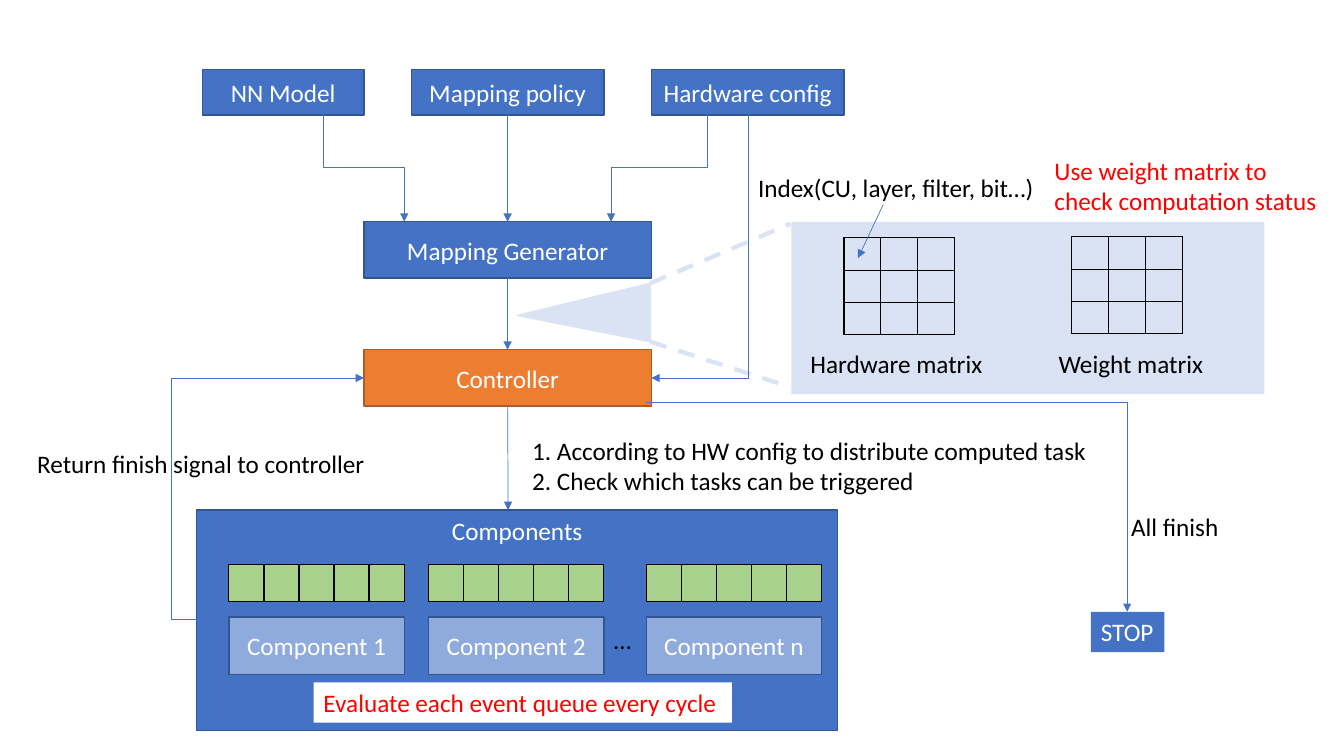
from lxml import etree
from pptx import Presentation
from pptx.dml.color import RGBColor
from pptx.enum.dml import MSO_LINE
from pptx.enum.shapes import MSO_CONNECTOR, MSO_SHAPE
from pptx.enum.text import MSO_ANCHOR, PP_ALIGN
from pptx.oxml.ns import qn
from pptx.util import Inches, Pt

RECTANGLE, TRIANGLE = MSO_SHAPE.RECTANGLE, MSO_SHAPE.ISOSCELES_TRIANGLE
STRAIGHT, ELBOW = MSO_CONNECTOR.STRAIGHT, MSO_CONNECTOR.ELBOW
LEFT, CENTER = PP_ALIGN.LEFT, PP_ALIGN.CENTER
TOP, MIDDLE = MSO_ANCHOR.TOP, MSO_ANCHOR.MIDDLE
DASH = MSO_LINE.DASH
BOTTOM_SIDE, TOP_SIDE = 2, 0

COLORS = {
    "blue": "4472C4", "blue edge": "325491", "light blue": "8FAADC",
    "pale": "DAE3F3", "orange": "ED7D31", "orange edge": "AF5C24",
    "green": "A9D18E", "white": "FFFFFF", "black": "000000", "red": "FF0000",
}

# Content: text, (left, top, width, height), fill, edge
STAGES = [
    ("NN Model", (2.01, 0.69, 1.6, 0.45), "blue", "blue edge"),
    ("Mapping policy", (4.08, 0.69, 1.91, 0.45), "blue", "blue edge"),
    ("Hardware config", (6.46, 0.69, 1.91, 0.45), "blue", "blue edge"),
    ("Mapping Generator", (3.61, 2.2, 2.85, 0.56), "blue", "blue edge"),
    ("Controller", (3.61, 3.47, 2.85, 0.56), "orange", "orange edge"),
]
COMPONENTS = [("Component 1", 2.27), ("Component 2", 4.25), ("Component n", 6.41)]
MATRICES = [(8.37, 2.36), (10.63, 2.35)]
LABELS = [
    (["Hardware matrix"], (7.94, 3.41, 1.98, 0.4)),
    (["Weight matrix"], (10.4, 3.41, 1.65, 0.4)),
    (["Index(CU, layer, filter, bit…)"], (7.42, 1.66, 3.02, 0.4)),
    (["1. According to HW config to distribute computed task",
      "2. Check which tasks can be triggered"], (5.18, 4.27, 5.8, 0.71)),
    (["…"], (5.99, 6.14, 0.38, 0.4)),
    (["Return finish signal to controller"], (0.27, 4.4, 3.49, 0.4)),
    (["All finish"], (11.12, 5.02, 1.08, 0.4)),
]
# Start, end, preset, leaves vertically, bend position
ELBOWS = [
    ((3.21, 1.13), (4.01, 2.2), "bentConnector3", True, None),
    ((7.02, 1.13), (6.06, 2.2), "bentConnector3", True, None),
    ((7.42, 1.13), (6.46, 3.75), "bentConnector2", True, None),
    ((1.95, 6.15), (3.61, 3.75), "bentConnector3", False, -0.15),
    ((6.41, 3.99), (11.18, 6.07), "bentConnector2", False, None),
]
CALLOUT_EDGES = [((6.45, 2.81), (7.84, 2.22)), ((6.45, 3.39), (7.84, 3.84))]

deck = Presentation()
deck.slide_width, deck.slide_height = Inches(13.33), Inches(7.5)
page = deck.slides.add_slide(deck.slide_layouts[6])


def color(name):
    return RGBColor.from_string(COLORS[name])


def write(shape, lines, ink="black", align=LEFT, anchor=TOP, wrap=False):
    frame = shape.text_frame
    frame.word_wrap, frame.vertical_anchor = wrap, anchor
    for index, line in enumerate(lines):
        para = frame.add_paragraph() if index else frame.paragraphs[0]
        para.alignment = align
        span = para.add_run()
        span.text = line
        span.font.name, span.font.size = "Calibri", Pt(18)
        span.font.color.rgb = color(ink)


def add_box(place, fill, edge=None, kind=RECTANGLE):
    box = page.shapes.add_shape(kind, *map(Inches, place))
    box.shadow.inherit = False
    box.fill.solid()
    box.fill.fore_color.rgb = color(fill)
    if edge:
        box.line.color.rgb = color(edge)
        box.line.width = Pt(1)
    else:
        box.line.fill.background()
    return box


def add_label(lines, place, **style):
    write(page.shapes.add_textbox(*map(Inches, place)), lines, **style)


def add_line(start, end, kind=STRAIGHT, ink="blue", width=0.5, arrow=True):
    line = page.shapes.add_connector(kind, *map(Inches, start + end))
    line.line.color.rgb = color(ink)
    line.line.width = Pt(width)
    properties = line._element.spPr
    if arrow:
        outline = properties.find(qn("a:ln"))
        etree.SubElement(outline, qn("a:tailEnd"), type="triangle")
    etree.SubElement(properties, qn("a:effectLst"))
    return line


def add_elbow(start, end, preset, vertical, bend):
    (x1, y1), (x2, y2) = start, end
    if vertical:
        # Swap the sides of the frame around its centre, then turn it
        mid_x, mid_y = (x1 + x2) / 2, (y1 + y2) / 2
        half_w, half_h = abs(y2 - y1) / 2, abs(x2 - x1) / 2
        start = (mid_x - half_w, mid_y - half_h)
        end = (mid_x + half_w, mid_y + half_h)
    properties = add_line(start, end, kind=ELBOW)._element.spPr
    geometry = properties.find(qn("a:prstGeom"))
    geometry.set("prst", preset)
    if vertical:
        frame = properties.find(qn("a:xfrm"))
        frame.set("rot", str((90 if x2 < x1 else 270) * 60000))
        if x2 > x1:
            frame.set("flipH", "1")
    if bend is not None:
        guides = geometry.find(qn("a:avLst"))
        if guides is None:
            guides = etree.SubElement(geometry, qn("a:avLst"))
        etree.SubElement(guides, qn("a:gd"), name="adj1", fmla=f"val {round(bend * 100000)}")


def add_grid(place, rows, columns, fill=None):
    table = page.shapes.add_table(rows, columns, *map(Inches, place)).table
    table.first_row = table.horz_banding = False
    for column in table.columns:
        column.width = Inches(place[2] / columns)
    for row in table.rows:
        row.height = Inches(place[3] / rows)
    for cell in table.iter_cells():
        cell.margin_left = cell.margin_right = cell.margin_top = cell.margin_bottom = 0
        properties = cell._tc.get_or_add_tcPr()
        for side in ("a:lnL", "a:lnR", "a:lnT", "a:lnB"):
            border = etree.SubElement(properties, qn(side), w=str(Pt(1)))
            paint = etree.SubElement(border, qn("a:solidFill"))
            etree.SubElement(paint, qn("a:srgbClr"), val=COLORS["black"])
        if fill:
            cell.fill.solid()
            cell.fill.fore_color.rgb = color(fill)
        else:
            cell.fill.background()


# Pipeline boxes
stages = {}
for text, place, fill, edge in STAGES:
    stages[text] = add_box(place, fill, edge)
    write(stages[text], [text], ink="white", align=CENTER, anchor=MIDDLE, wrap=True)

# Matrix callout
add_box((7.85, 2.2, 4.69, 1.71), "pale")
for left, top in MATRICES:
    add_grid((left, top, 1.1, 0.96), 3, 3)
for start, end in CALLOUT_EDGES:
    add_line(start, end, ink="pale", width=3, arrow=False).line.dash_style = DASH
pointer = add_box((5.5, 2.44, 0.58, 1.32), "pale", "pale", kind=TRIANGLE)
pointer.adjustments[0] = 0.45
pointer.rotation = 270
add_line((8.76, 2.03), (8.51, 2.56))

# Components with their event queues
group = add_box((1.95, 5.06, 6.36, 2.19), "blue", "blue edge")
write(group, ["Components"], ink="white", align=CENTER, wrap=True)
for text, left in COMPONENTS:
    add_grid((left, 5.6, 1.74, 0.37), 1, 5, fill="green")
    component = add_box((left, 6.12, 1.74, 0.57), "light blue", "blue edge")
    write(component, [text], ink="white", align=CENTER, anchor=MIDDLE, wrap=True)
write(add_box((3.11, 6.77, 4.15, 0.4), "white"),
      ["Evaluate each event queue every cycle"], ink="red")
write(add_box((10.82, 6.07, 0.73, 0.4), "blue"), ["STOP"], ink="white")

# Arrows
for source, target in [("Mapping policy", "Mapping Generator"), ("Mapping Generator", "Controller")]:
    arrow = add_line((5.04, 1.13), (5.04, 2.2))
    arrow.begin_connect(stages[source], BOTTOM_SIDE)
    arrow.end_connect(stages[target], TOP_SIDE)
add_line((5.04, 4.03), (5.04, 5.06)).begin_connect(stages["Controller"], BOTTOM_SIDE)
for elbow in ELBOWS:
    add_elbow(*elbow)

# Labels
for lines, place in LABELS:
    add_label(lines, place)
add_label(["Use weight matrix to check computation status"],
          (10.36, 1.49, 2.84, 0.71), ink="red", wrap=True)

deck.save("out.pptx")
